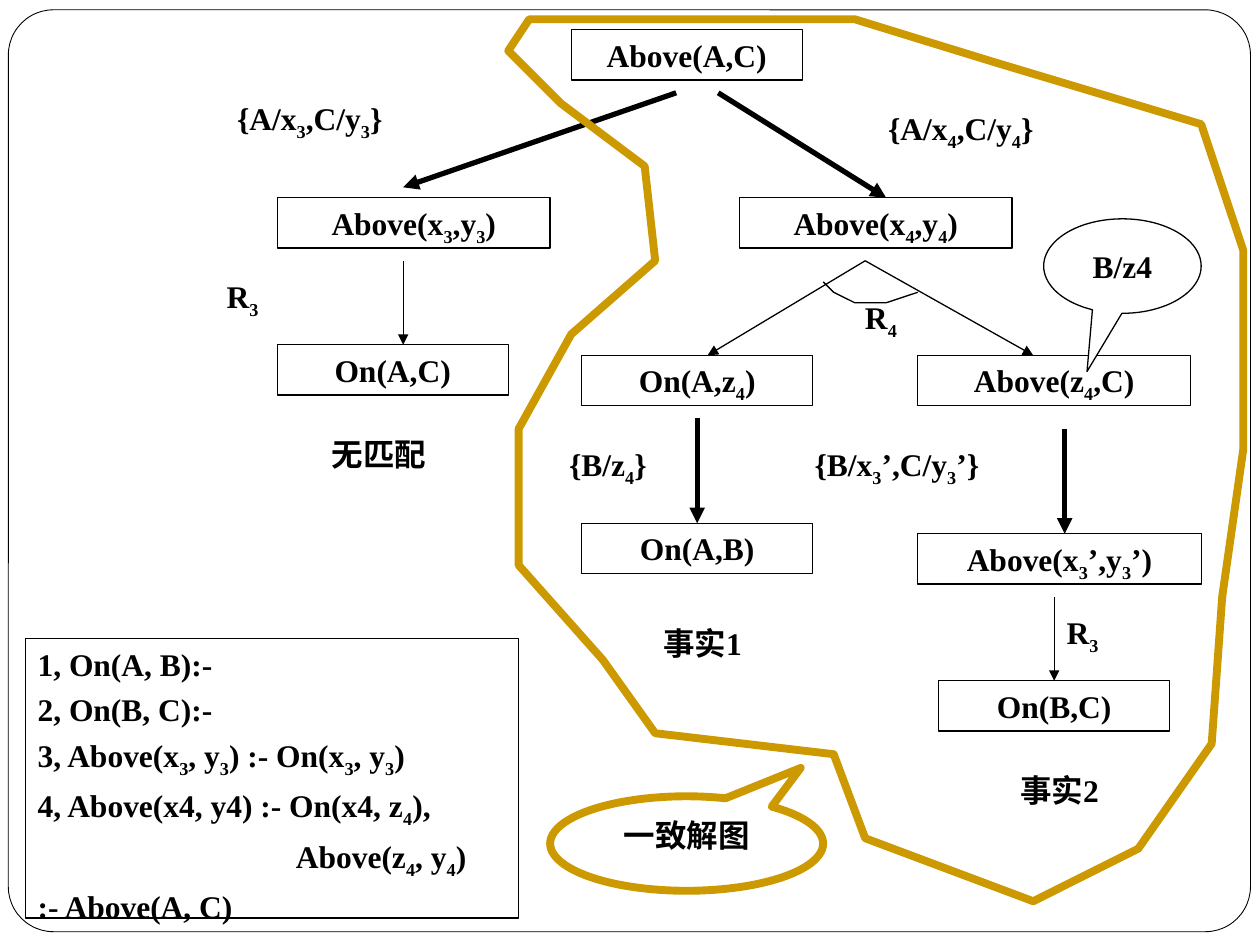
from lxml import etree
from pptx import Presentation
from pptx.dml.color import RGBColor
from pptx.enum.shapes import MSO_CONNECTOR, MSO_SHAPE
from pptx.enum.text import MSO_ANCHOR, PP_ALIGN
from pptx.oxml.ns import qn
from pptx.util import Inches, Pt

RECT, ROUND = MSO_SHAPE.RECTANGLE, MSO_SHAPE.ROUNDED_RECTANGLE
CALL = MSO_SHAPE.OVAL_CALLOUT
LINE = MSO_CONNECTOR.STRAIGHT
LEFT, MID = PP_ALIGN.LEFT, PP_ALIGN.CENTER
TOP, CENTRE = MSO_ANCHOR.TOP, MSO_ANCHOR.MIDDLE

HEX = {"ink": "000000", "paper": "FFFFFF", "gold": "CC9900"}
HUE = {name: RGBColor.from_string(code) for name, code in HEX.items()}
FONT = {"name": "Times New Roman", "size": Pt(18), "bold": True}
UNIT = Inches(1) / 12  # one grid step
TALL = 4.8  # height of a one-line box, in steps

deck = Presentation()
deck.slide_width, deck.slide_height = Inches(10), Inches(7.5)
slide = deck.slides.add_slide(deck.slide_layouts[6])
shapes = slide.shapes


def spot(col, row):
    """Grid column and row as a point on the slide."""
    return int(Inches(0.2) + col * UNIT), int(Inches(0.07) + row * UNIT)


def write(shape, lines, align=LEFT, anchor=TOP):
    """Fill a shape with text; the sign after each _ is a subscript."""
    frame = shape.text_frame
    frame.word_wrap = True
    frame.vertical_anchor = anchor
    for i, line in enumerate(lines):
        para = frame.paragraphs[0] if i == 0 else frame.add_paragraph()
        para.alignment = align
        para.space_before = Pt(4.3 if i else 0)
        first, *rest = line.split("_")
        parts = [(first, False)]
        for part in rest:
            parts += [(part[0], True), (part[1:], False)]
        for text, low in parts:
            if not text:
                continue
            run = para.add_run()
            run.text = text
            for key, value in FONT.items():
                setattr(run.font, key, value)
            run.font.color.rgb = HUE["ink"]
            if low:
                run.font._element.set("baseline", "-25000")


# Shapes to format: shape, fill, line colour, line width
looks = []

# Slide frame
edge = shapes.add_shape(ROUND, *spot(-1.6, 0.1), int(118.3 * UNIT), int(87.8 * UNIT))
edge.adjustments[0] = 0.049
looks.append((edge, "paper", "ink", 0.5))

# Rule base
base = shapes.add_shape(RECT, *spot(0, 60), int(47 * UNIT), int(26.6 * UNIT))
write(base, ["1, On(A, B):-", "2, On(B, C):-", "3, Above(x_3, y_3) :- On(x_3, y_3)",
             "4, Above(x4, y4) :- On(x4, z_4),", "Above(z_4, y_4)", ":- Above(A, C)"])
tail = base.text_frame.paragraphs[4]._p.get_or_add_pPr()
tail.set("marL", str(Inches(2.05)))
tail.set("indent", "0")
looks.append((base, None, "ink", 0.75))

# Goal boxes: column, row, width, text
goals = [
    (52, 2, 22, "Above(A,C)"), (24, 18, 26, "Above(x_3,y_3)"),
    (24, 32, 22, "On(A,C)"), (68, 18, 26, "Above(x_4,y_4)"),
    (53, 33, 22, "On(A,z_4)"), (85, 33, 26, "Above(z_4,C)"),
    (53, 49, 22, "On(A,B)"), (85, 50, 27, "Above(x_3’,y_3’)"),
    (87, 64, 22, "On(B,C)"),
]
boxes = {}
for col, row, wide, text in goals:
    box = shapes.add_shape(RECT, *spot(col, row), int(wide * UNIT), int(TALL * UNIT))
    write(box, [text], MID)
    boxes[text] = box
    looks.append((box, None, "ink", 0.75))

# Labels: column, row, width, alignment, text
labels = [
    (19, 8, 25, LEFT, "{A/x_3,C/y_3}"), (18, 25, 25, LEFT, "R_3"),
    (28, 40, 16, LEFT, "无匹配"), (81, 9, 25, LEFT, "{A/x_4,C/y_4}"),
    (69, 27, 25, MID, "R_4"), (43, 41, 25, MID, "{B/z_4}"),
    (52, 58, 25, MID, "事实1"), (74, 41, 25, LEFT, "{B/x_3’,C/y_3’}"),
    (86, 72, 25, MID, "事实2"), (98, 57, 25, LEFT, "R_3"),
]
for col, row, wide, align, text in labels:
    label = shapes.add_textbox(*spot(col, row), int(wide * UNIT), int(TALL * UNIT))
    write(label, [text], align)

# Arrows: start, end, width, box joined at its top
arrows = [
    ((62, 8), (36, 17), 3, None), ((36, 24), (36, 32), 0.75, None),
    ((66, 8), (82, 18), 3, None), ((80, 24), (65, 33), 0.75, None),
    ((80, 24), (96, 33), 0.75, None), ((64, 39), (64, 49), 3, "On(A,B)"),
    ((99, 40), (99, 50), 3, None), ((98, 56), (98, 64), 0.75, "On(B,C)"),
]
for start, end, width, goal in arrows:
    arrow = shapes.add_connector(LINE, *spot(*start), *spot(*end))
    if goal:
        arrow.end_connect(boxes[goal], 0)
    arrow.line.color.rgb = HUE["ink"]
    arrow.line.width = Pt(width)
    head = etree.SubElement(arrow.line._get_or_add_ln(), qn("a:tailEnd"))
    head.set("type", "triangle")
    etree.SubElement(arrow._element.spPr, qn("a:effectLst"))

# AND arc and the outline of the solution graph
arc = [(76, 26), (77, 27), (79, 28), (82, 28), (85, 27)]
loop = [
    (48, 1), (79, 1), (92, 5), (112, 11), (116, 23), (116, 42), (114, 56),
    (113, 70), (106, 80), (96, 85), (80, 79), (77, 71), (60, 69), (55, 62),
    (47, 53), (47, 40), (52, 31), (60, 24), (59, 15), (51, 9), (46, 4),
]
for dots, shut, hue, width in [(arc, False, "ink", 0.75), (loop, True, "gold", 4.5)]:
    pen = shapes.build_freeform(*spot(*dots[0]))
    pen.add_line_segments([spot(*dot) for dot in dots[1:]], close=shut)
    looks.append((pen.convert_to_shape(), None, hue, width))

# Callouts: column, row, width, tip, text, anchor, fill, line colour, line width
calls = [
    (97, 20, 15, (-0.225, 1.116), "B/z4", CENTRE, "paper", "ink", 0.75),
    (50, 75, 26, (0.418, -0.801), "一致解图", TOP, None, "gold", 4.5),
]
for col, row, wide, tip, text, anchor, fill, hue, width in calls:
    call = shapes.add_shape(CALL, *spot(col, row), int(wide * UNIT), int(9 * UNIT))
    call.adjustments[0], call.adjustments[1] = tip
    write(call, [text], MID, anchor)
    looks.append((call, fill, hue, width))

# Fills and lines
for shape, fill, hue, width in looks:
    shape.shadow.inherit = False
    if fill:
        shape.fill.solid()
        shape.fill.fore_color.rgb = HUE[fill]
    else:
        shape.fill.background()
    shape.line.color.rgb = HUE[hue]
    shape.line.width = Pt(width)

deck.save("out.pptx")
